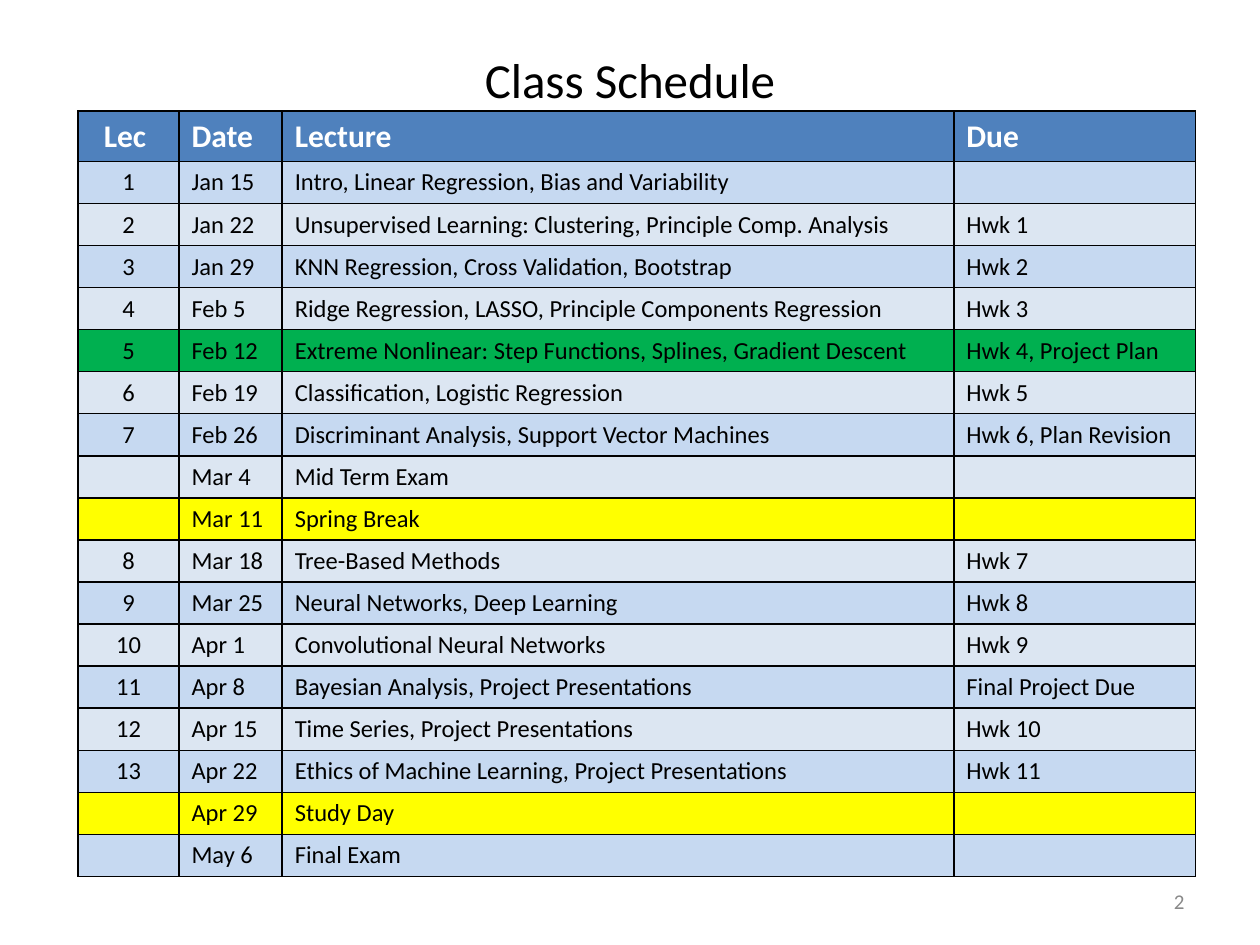
from lxml.etree import SubElement
from pptx import Presentation
from pptx.dml.color import RGBColor
from pptx.enum.text import MSO_ANCHOR, PP_ALIGN
from pptx.oxml.ns import qn
from pptx.util import Inches, Pt

FONT = "Calibri"
BLACK = RGBColor(0x00, 0x00, 0x00)
WHITE = RGBColor(0xFF, 0xFF, 0xFF)
GRAY = RGBColor(0x89, 0x89, 0x89)
HEADER_BLUE = RGBColor(0x4F, 0x81, 0xBD)
BAND_BLUE = RGBColor(0xC6, 0xD9, 0xF1)
BAND_PALE = RGBColor(0xDC, 0xE6, 0xF2)
CURRENT_GREEN = RGBColor(0x00, 0xB0, 0x50)
BREAK_YELLOW = RGBColor(0xFF, 0xFF, 0x00)

HEADER = ("Lec ", "Date", "Lecture", "Due")
SCHEDULE = [
    ("1", "Jan 15", "Intro, Linear Regression, Bias and Variability", ""),
    ("2", "Jan 22", "Unsupervised Learning: Clustering, Principle Comp. Analysis", "Hwk 1"),
    ("3", "Jan 29", "KNN Regression, Cross Validation, Bootstrap", "Hwk 2"),
    ("4", "Feb 5", "Ridge Regression, LASSO, Principle Components Regression", "Hwk 3"),
    ("5", "Feb 12", "Extreme Nonlinear: Step Functions, Splines, Gradient Descent",
     "Hwk 4, Project Plan"),
    ("6", "Feb 19", "Classification, Logistic Regression", "Hwk 5"),
    ("7", "Feb 26", "Discriminant Analysis, Support Vector Machines", "Hwk 6, Plan Revision"),
    ("", "Mar 4", "Mid Term Exam", ""),
    ("", "Mar 11", "Spring Break", ""),
    ("8", "Mar 18", "Tree-Based Methods", "Hwk 7"),
    ("9", "Mar 25", "Neural Networks, Deep Learning", "Hwk 8"),
    ("10", "Apr 1", "Convolutional Neural Networks", "Hwk 9"),
    ("11", "Apr 8", "Bayesian Analysis, Project Presentations", "Final Project Due"),
    ("12", "Apr 15", "Time Series, Project Presentations", "Hwk 10"),
    ("13", "Apr 22", "Ethics of Machine Learning, Project Presentations", "Hwk 11"),
    ("", "Apr 29", "Study Day", ""),
    ("", "May 6", "Final Exam", ""),
]
HIGHLIGHTS = {"Feb 12": CURRENT_GREEN, "Mar 11": BREAK_YELLOW, "Apr 29": BREAK_YELLOW}
COLUMN_WIDTHS = (0.8, 0.82, 5.33, 1.92)
HEADER_HEIGHT = 0.4


def write_text(para, text, size, color, align, bold=False):
    para.text = text
    para.alignment = align
    for span in para.runs:
        span.font.name = FONT
        span.font.size = Pt(size)
        span.font.bold = bold
        span.font.color.rgb = color
    if not text:
        # An empty cell still needs its text size, or its row grows
        SubElement(para._p, qn("a:endParaRPr"), sz=str(size * 100))


def add_label(page, area, text, size, color, align):
    box = page.shapes.add_textbox(*map(Inches, area))
    frame = box.text_frame
    frame.word_wrap = True
    frame.vertical_anchor = MSO_ANCHOR.MIDDLE
    write_text(frame.paragraphs[0], text, size, color, align)


def set_borders(cell, width=1, color=BLACK):
    properties = cell._tc.get_or_add_tcPr()
    for position, side in enumerate(("a:lnL", "a:lnR", "a:lnT", "a:lnB")):
        line = SubElement(properties, qn(side), w=str(Pt(width)))
        fill = SubElement(line, qn("a:solidFill"))
        SubElement(fill, qn("a:srgbClr"), val=str(color))
        properties.insert(position, line)  # borders come before the fill


def row_fill(index, date):
    if index == 0:
        return HEADER_BLUE
    return HIGHLIGHTS.get(date, BAND_BLUE if index % 2 else BAND_PALE)


def add_schedule(page, area):
    rows = [HEADER, *SCHEDULE]
    table = page.shapes.add_table(len(rows), len(HEADER), *map(Inches, area)).table
    for column, width in zip(table.columns, COLUMN_WIDTHS):
        column.width = Inches(width)

    body_height = (area[3] - HEADER_HEIGHT) / len(SCHEDULE)
    for index, values in enumerate(rows):
        is_header = index == 0
        table.rows[index].height = Inches(HEADER_HEIGHT if is_header else body_height)
        for column, text in enumerate(values):
            cell = table.cell(index, column)
            cell.fill.solid()
            cell.fill.fore_color.rgb = row_fill(index, values[1])
            set_borders(cell)
            write_text(cell.text_frame.paragraphs[0], text,
                       18 if is_header else 14,
                       WHITE if is_header else BLACK,
                       PP_ALIGN.LEFT if column else PP_ALIGN.CENTER,
                       bold=is_header)


def main():
    deck = Presentation()
    deck.slide_width, deck.slide_height = Inches(10), Inches(7.5)
    page = deck.slides.add_slide(deck.slide_layouts[6])

    # Title, page number, then the schedule on top
    add_label(page, (0.5, 0, 9, 1.25), "Class Schedule", 28, BLACK, PP_ALIGN.CENTER)
    add_label(page, (7.17, 6.95, 2.33, 0.4), "2", 12, GRAY, PP_ALIGN.RIGHT)
    add_schedule(page, (0.62, 0.88, sum(COLUMN_WIDTHS), 6.07))

    deck.save("out.pptx")


if __name__ == "__main__":
    main()
